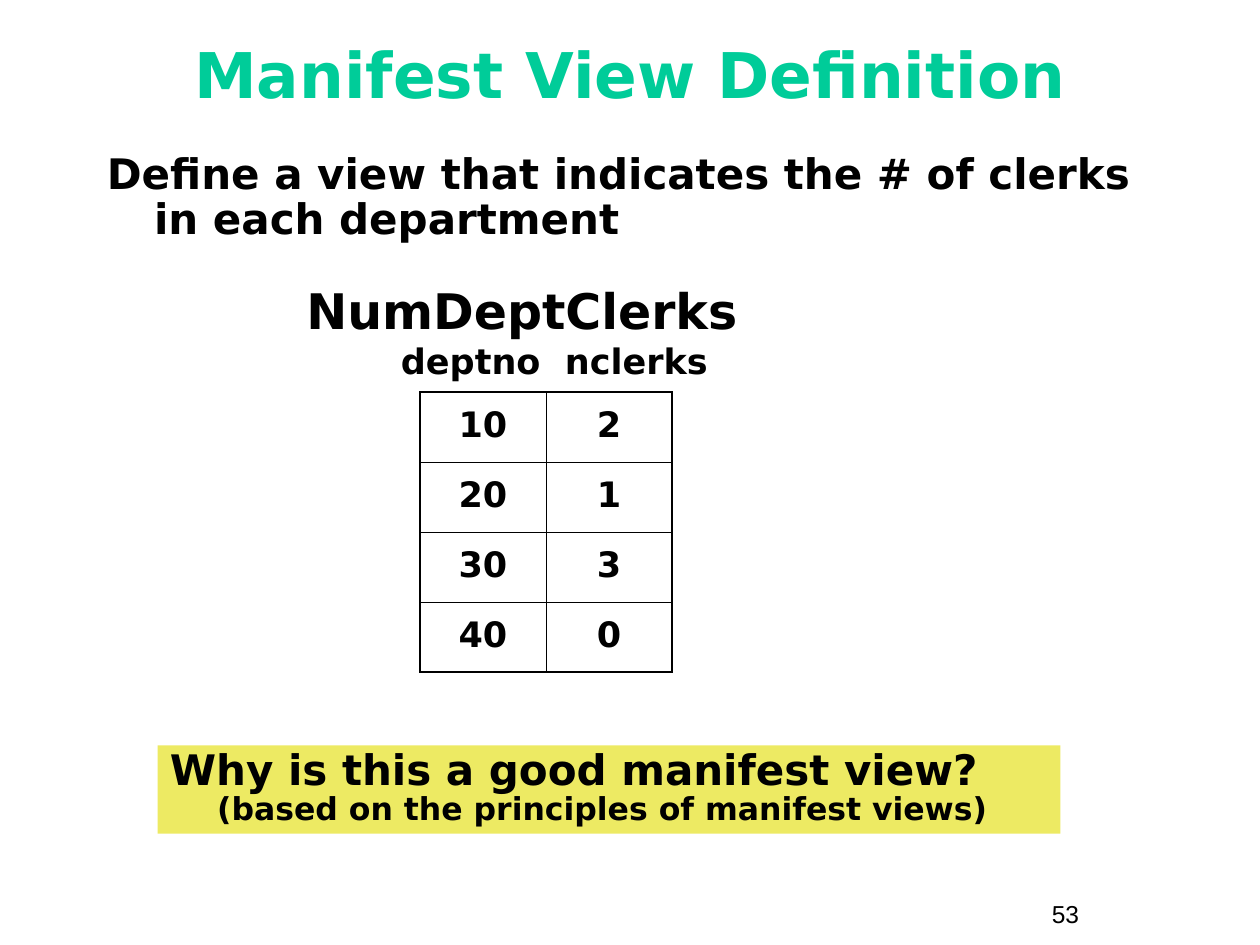
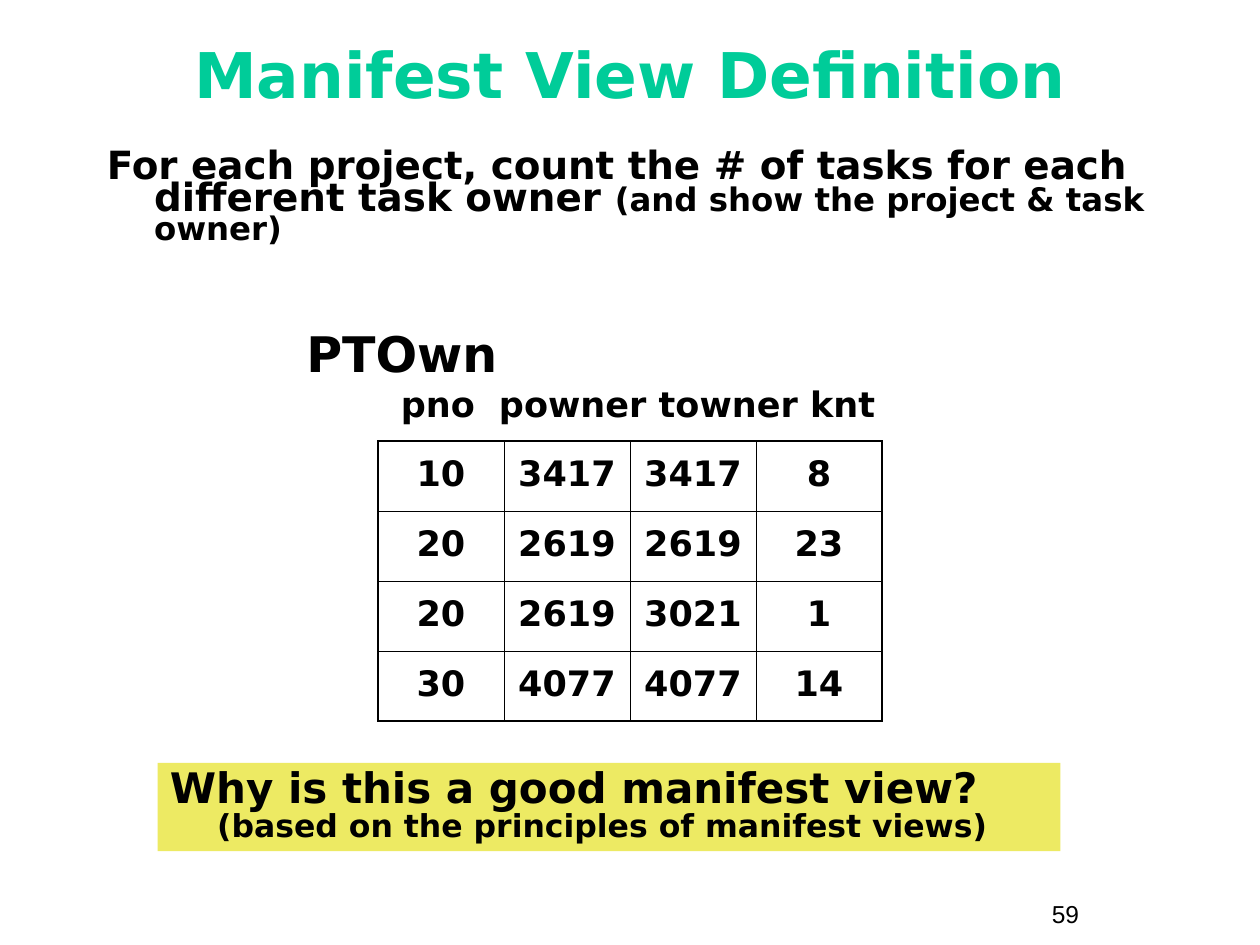
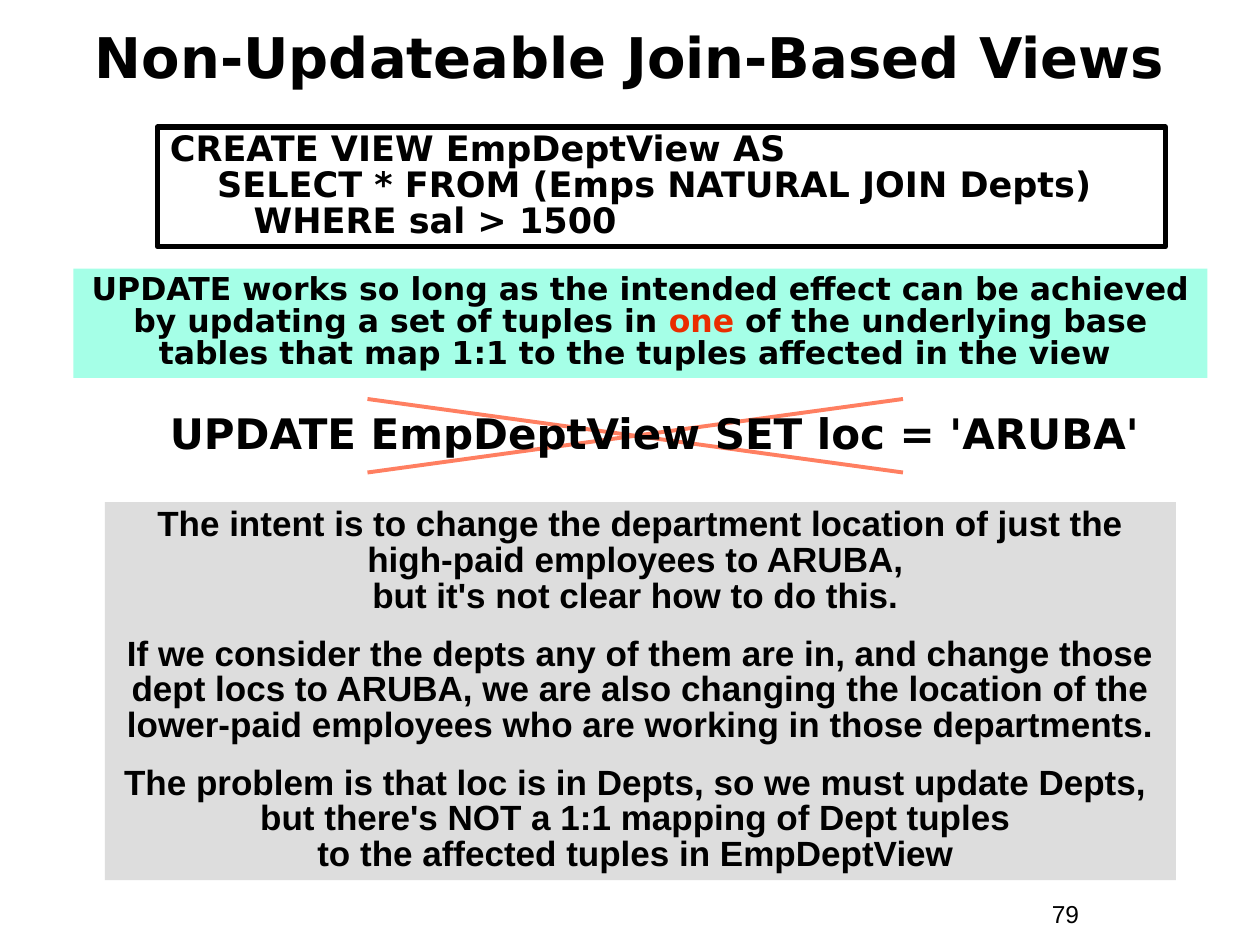
"""Build three slides on manifest views and non-updateable join views."""
from dataclasses import dataclass

from lxml import etree
from pptx import Presentation
from pptx import util as u
from pptx.dml.color import RGBColor
from pptx.enum import shapes, text
from pptx.oxml import ns

Pt = u.Pt
CENTER = text.PP_ALIGN.CENTER
MIDDLE = text.MSO_ANCHOR.MIDDLE


@dataclass(frozen=True)
class Theme:
    sans: str = "DejaVu Sans"
    arial: str = "Arial"
    black: str = "000000"
    green: str = "00CC99"
    yellow: str = "EDEA63"
    mint: str = "A5FFE7"
    grey: str = "DDDDDD"
    red: str = "EA2D00"
    coral: str = "FF7F61"
    title: float = 36
    long_title: float = 32
    name: float = 28
    lead: float = 24
    dense: float = 22.2
    dense_note: float = 18.5
    body: float = 20
    note: float = 18
    number: float = 14
    indent: float = 27
    tight: float = 0.85
    row: float = 40
    column: float = 72
    outer: float = 1.08
    inner: float = 0.45


class Deck:
    """Hold the style and the current slide."""

    def __init__(self, theme):
        self.t = theme
        self.prs = Presentation()
        self.prs.slide_width, self.prs.slide_height = Pt(720), Pt(540)

    def slide(self, title, number, box=(24, 12, 672, 60), **fmt):
        self.s = self.prs.slides.add_slide(self.prs.slide_layouts[6])
        self.text((594, 510, 66, 24), str(number), size=self.t.number,
                  font=self.t.arial, bold=False)
        self.text(box, title, anchor=MIDDLE, align=CENTER, **fmt)

    def add_runs(self, p, content, size, color=None, font=None, bold=True):
        runs = [(content, {})] if isinstance(content, str) else content
        for words, changes in runs:
            fmt = {"size": size, "color": color or self.t.black, **changes}
            for i, line in enumerate(words.split("\n")):
                if i:
                    p.add_line_break()
                if not line:
                    continue
                r = p.add_run()
                r.text = line
                values = {"name": font or self.t.sans, "size": Pt(fmt["size"]), "bold": bold}
                for key, value in values.items():
                    setattr(r.font, key, value)
                r.font.color.rgb = RGBColor.from_string(fmt["color"])

    def fill_text(self, sp, paragraphs, anchor=text.MSO_ANCHOR.TOP, align=text.PP_ALIGN.LEFT,
                  spacing=1.0, gap=0, indent=0, tab=None, **fmt):
        tf = sp.text_frame
        frame = {"word_wrap": True, "vertical_anchor": anchor,
                 "margin_left": Pt(7.2), "margin_right": Pt(7.2),
                 "margin_top": Pt(3.6), "margin_bottom": Pt(3.6)}
        for key, value in frame.items():
            setattr(tf, key, value)
        for i, content in enumerate(paragraphs):
            p = tf.add_paragraph() if i else tf.paragraphs[0]
            layout = {"alignment": align, "line_spacing": spacing,
                      "space_before": Pt(gap if i else 0)}
            for key, value in layout.items():
                setattr(p, key, value)
            pPr = p._p.get_or_add_pPr()
            if indent:
                pPr.set("marL", str(Pt(indent)))
                pPr.set("indent", str(Pt(-indent)))
            if tab:
                tabs = etree.SubElement(pPr, ns.qn("a:tabLst"))
                etree.SubElement(tabs, ns.qn("a:tab"), pos=str(Pt(tab)), algn="l")
            self.add_runs(p, content, **fmt)

    def text(self, box, *paragraphs, **fmt):
        self.fill_text(self.s.shapes.add_textbox(*map(Pt, box)), paragraphs, **fmt)

    def panel(self, box, *paragraphs, fill=None, line=None, **fmt):
        sp = self.s.shapes.add_shape(shapes.MSO_SHAPE.RECTANGLE, *map(Pt, box))
        sp.shadow.inherit = False
        if fill:
            sp.fill.solid()
            sp.fill.fore_color.rgb = RGBColor.from_string(fill)
        else:
            sp.fill.background()
        if line:
            sp.line.color.rgb = RGBColor.from_string(self.t.black)
            sp.line.width = Pt(line)
        else:
            sp.line.fill.background()
        self.fill_text(sp, paragraphs, spacing=self.t.tight, **fmt)

    def line(self, x1, y1, x2, y2):
        c = self.s.shapes.add_connector(shapes.MSO_CONNECTOR.STRAIGHT, *map(Pt, (x1, y1, x2, y2)))
        c.line.color.rgb = RGBColor.from_string(self.t.coral)
        c.line.width = Pt(2.25)
        etree.SubElement(c._element.spPr, ns.qn("a:effectLst"))

    def border(self, cell, edges):
        tcPr = cell._tc.get_or_add_tcPr()
        for i, (side, is_outer) in enumerate(edges.items()):
            width = self.t.outer if is_outer else self.t.inner
            ln = etree.Element(ns.qn(f"a:ln{side}"), w=str(Pt(width)))
            solid = etree.SubElement(ln, ns.qn("a:solidFill"))
            etree.SubElement(solid, ns.qn("a:srgbClr"), val=self.t.black)
            tcPr.insert(i, ln)

    def table(self, x, y, rows):
        m, n = len(rows), len(rows[0])
        box = map(Pt, (x, y, n * self.t.column, m * self.t.row))
        tbl = self.s.shapes.add_table(m, n, *box).table
        tbl.first_row = tbl.horz_banding = False
        for i, row in enumerate(rows):
            for j, value in enumerate(row):
                cell = tbl.cell(i, j)
                cell.fill.background()
                self.border(cell, {"L": j == 0, "R": j == n - 1, "T": i == 0, "B": i == m - 1})
                cell.vertical_anchor = MIDDLE
                p = cell.text_frame.paragraphs[0]
                p.alignment, p.line_spacing = CENTER, 0.9
                self.add_runs(p, str(value), self.t.body)

    def view(self, name, y, header, header_width, tab):
        self.text((222, y + 32, header_width, 28), header, size=self.t.body,
                  spacing=self.t.tight, tab=tab)
        self.text((168, y, 270, 36), name, size=self.t.name, spacing=self.t.tight)

    def question(self, y):
        self.panel((90, y, 516, 50.4),
                   [("Why is this a good manifest view?\n", {}),
                    ("(based on the principles of manifest views)", {"size": self.t.note})],
                   fill=self.t.yellow, size=self.t.lead, indent=self.t.indent)


def main():
    t = Theme()
    d = Deck(t)
    body = (54, 84, 612, 66)
    manifest = {"title": "Manifest View Definition", "size": t.title, "color": t.green}

    d.slide(number=53, **manifest)
    d.text(body, "Define a view that indicates the # of clerks in each department",
           size=t.lead, spacing=0.9, indent=t.indent)
    d.table(240, 224, [(10, 2), (20, 1), (30, 3), (40, 0)])
    d.view("NumDeptClerks", 162, "deptno\tnclerks", 210, 93.7)
    d.question(426)

    d.slide(number=59, **manifest)
    d.text(body, [("For each project, count the # of tasks for each different task owner ", {}),
                  ("(and show the project & task owner)", {"size": t.dense_note})],
           size=t.dense, spacing=0.7, indent=t.indent)
    d.table(216, 252, [(10, 3417, 3417, 8), (20, 2619, 2619, 23),
                       (20, 2619, 3021, 1), (30, 4077, 4077, 14)])
    d.view("PTOwn", 186.5, "pno\tpowner towner knt", 342, 56)
    d.question(436)

    d.slide("Non-Updateable Join-Based Views", 79, (24, 4, 672, 56), size=t.long_title)
    left, right, top, bottom = 210, 516, 228, 270
    d.line(left, bottom, right, top)
    d.line(left, top, right, bottom)
    d.panel((90, 72.5, 576, 68.5),
            "CREATE VIEW EmpDeptView AS\n"
            "SELECT * FROM (Emps NATURAL JOIN Depts)\n"
            "   WHERE sal > 1500",
            line=3, size=t.body, indent=t.indent)
    d.text((90, 234, 576, 42), "UPDATE EmpDeptView SET loc = 'ARUBA'",
           size=t.lead, spacing=t.tight, indent=t.indent)
    d.panel((60, 287, 612, 216),
            "The intent is to change the department location of just the "
            "high-paid employees to ARUBA, \nbut it's not clear how to do this. ",
            "If we consider the depts any of them are in, and change those dept locs to ARUBA, "
            "we are also changing the location of the lower-paid employees who are working "
            "in those departments.",
            "The problem is that loc is in Depts, so we must update Depts, \n"
            "but there's NOT a 1:1 mapping of Dept tuples \n"
            "to the affected tuples in EmpDeptView ",
            fill=t.grey, size=t.body, font=t.arial, align=CENTER, gap=12.5)
    d.panel((42, 153.5, 648, 62.5),
            [("UPDATE works so long as the intended effect can be achieved "
              "by updating a set of tuples in ", {}),
             ("one", {"color": t.red}),
             (" of the underlying base tables that map 1:1 to the tuples "
              "affected in the view ", {})],
            fill=t.mint, size=t.note, align=CENTER)

    d.prs.save("out.pptx")


if __name__ == "__main__":
    main()
